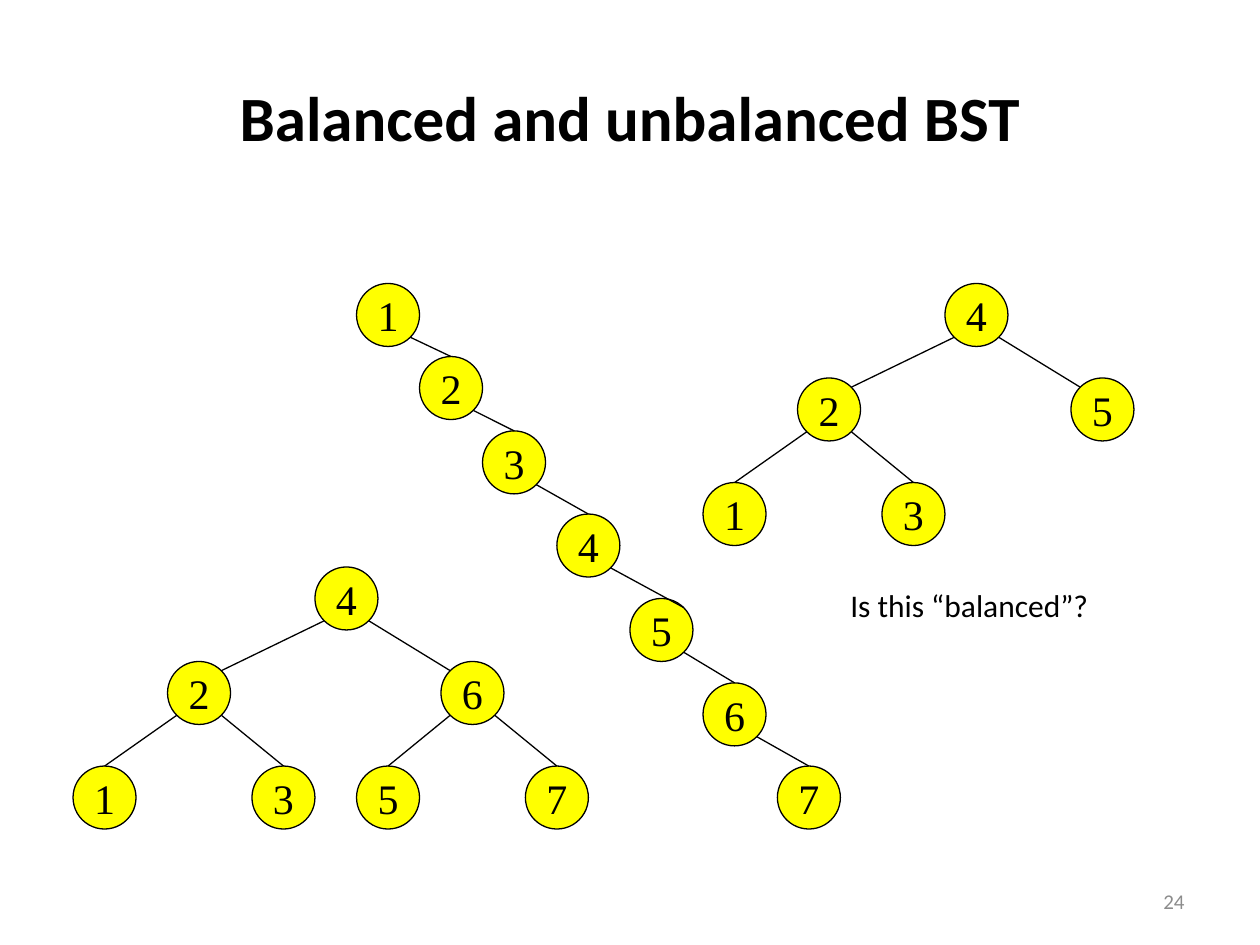
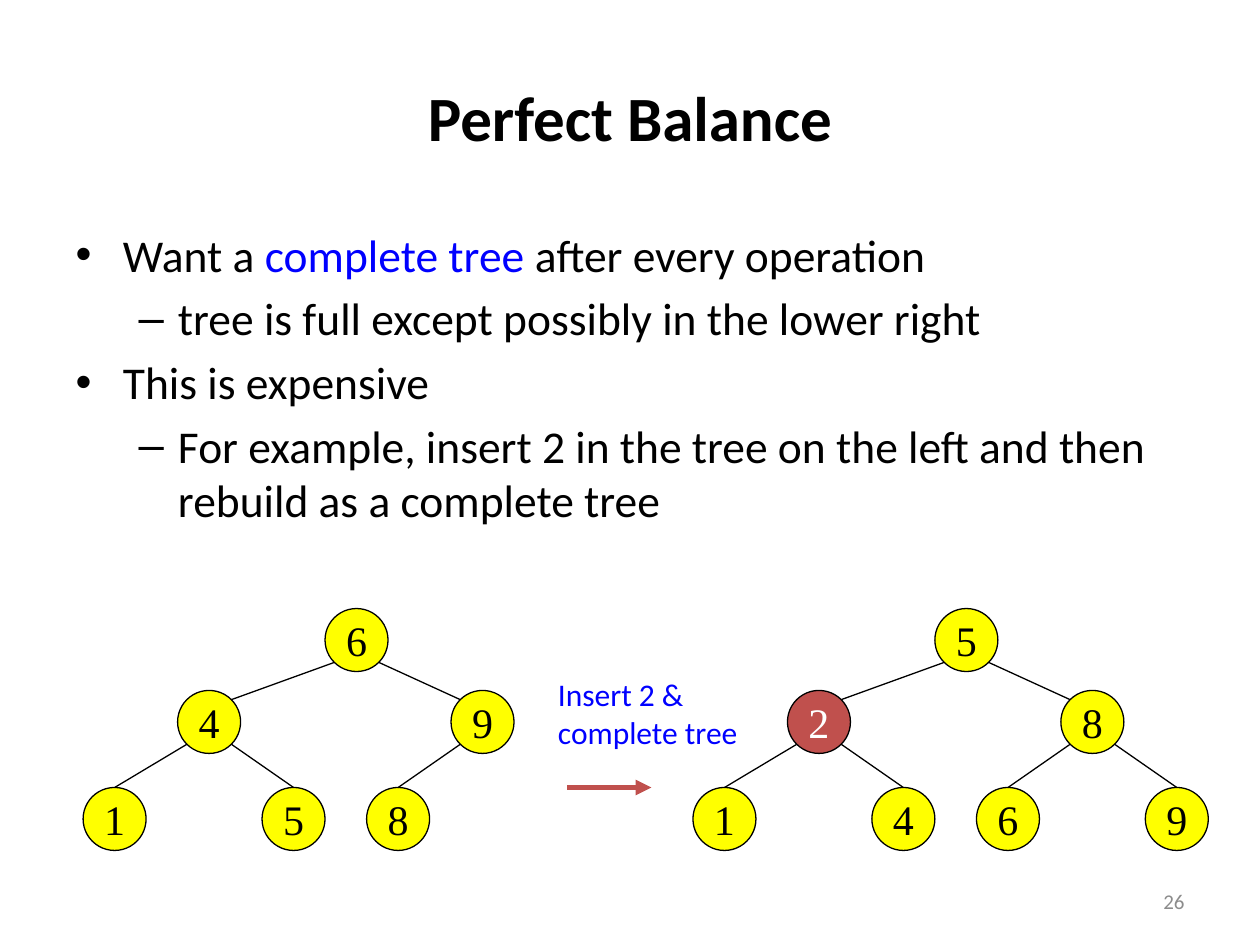
from dataclasses import dataclass

from pptx import Presentation
from pptx.dml.color import RGBColor
from pptx.enum.shapes import MSO_CONNECTOR, MSO_SHAPE
from pptx.enum.text import MSO_ANCHOR, MSO_AUTO_SIZE, PP_ALIGN
from pptx.oxml.ns import qn
from pptx.util import Inches, Pt
from lxml.etree import SubElement

BLACK = RGBColor(0x00, 0x00, 0x00)
WHITE = RGBColor(0xFF, 0xFF, 0xFF)
YELLOW = RGBColor(0xFF, 0xFF, 0x00)
RED = RGBColor(0xC0, 0x50, 0x4D)
BLUE = RGBColor(0x00, 0x00, 0xFF)
GRAY = RGBColor(0x8C, 0x8C, 0x8C)

SANS, SERIF = "Calibri", "Times New Roman"
TITLE_CONTENT, TITLE_ONLY = 1, 5

NODE = 0.5                     # node diameter
CORNER = NODE / 2 * 0.71       # offset of a 45-degree point from the centre
# Horizontal offsets from the root, in level order
OFFSETS = (0, -1.17, 1, -1.92, -0.5, 0.33, 1.67)


@dataclass
class Node:
    key: int
    x: float
    y: float
    marked: bool = False

    def point(self, dx: int, dy: int) -> tuple[float, float]:
        """Point on the rim: dx and dy are -1, 0 or 1."""
        reach = CORNER if dx and dy else NODE / 2
        return self.x + NODE / 2 + dx * reach, self.y + NODE / 2 + dy * reach


@dataclass
class Tree:
    keys: tuple[int, ...]      # level order
    x: float
    y: float
    drops: tuple[float, ...]   # vertical offset of each level
    marked: int | None = None


# Shared helpers
def add_run(p, text: str, *, size: float, font: str = SANS,
            color: RGBColor = BLACK, bold: bool = False) -> None:
    r = p.add_run()
    r.text = text
    r.font.size, r.font.name, r.font.bold = Pt(size), font, bold
    r.font.color.rgb = color


def place(sp, x: float, y: float, w: float, h: float) -> None:
    sp.left, sp.top, sp.width, sp.height = map(Inches, (x, y, w, h))


def add_label(slide, x: float, y: float, w: float, h: float, lines: list[str],
              *, size: float = 18, color: RGBColor = BLACK) -> None:
    sp = slide.shapes.add_textbox(*map(Inches, (x, y, w, h)))
    tf = sp.text_frame
    tf.word_wrap = False
    tf.auto_size = MSO_AUTO_SIZE.SHAPE_TO_FIT_TEXT
    for i, line in enumerate(lines):
        p = tf.add_paragraph() if i else tf.paragraphs[0]
        add_run(p, line, size=size, color=color)


def add_line(slide, start: tuple[float, float], end: tuple[float, float], *,
             color: RGBColor = BLACK, width: float = 0.75, arrow: bool = False) -> None:
    cx = slide.shapes.add_connector(MSO_CONNECTOR.STRAIGHT, *map(Inches, start + end))
    cx.line.color.rgb, cx.line.width = color, Pt(width)
    if arrow:
        SubElement(cx.line._get_or_add_ln(), qn("a:tailEnd"), type="triangle")
    SubElement(cx._element.spPr, qn("a:effectLst"))


def new_slide(prs, layout: int, title: str, number: int):
    slide = prs.slides.add_slide(prs.slide_layouts[layout])
    sp = slide.shapes.title
    place(sp, 0.5, 0.3, 9, 1.25)
    p = sp.text_frame.paragraphs[0]
    p.alignment = PP_ALIGN.CENTER
    add_run(p, title, size=36, bold=True)
    # Slide number
    tf = slide.shapes.add_textbox(*map(Inches, (7.17, 6.95, 2.33, 0.4))).text_frame
    tf.word_wrap = True
    tf.vertical_anchor = MSO_ANCHOR.MIDDLE
    p = tf.paragraphs[0]
    p.alignment = PP_ALIGN.RIGHT
    add_run(p, str(number), size=12, color=GRAY)
    return slide


# Trees
def draw_node(slide, node: Node) -> None:
    sp = slide.shapes.add_shape(
        MSO_SHAPE.OVAL, *map(Inches, (node.x, node.y, NODE, NODE)))
    sp.shadow.inherit = False
    sp.fill.solid()
    sp.fill.fore_color.rgb = RED if node.marked else YELLOW
    sp.line.color.rgb, sp.line.width = BLACK, Pt(0.75)
    tf = sp.text_frame
    tf.word_wrap = False
    tf.vertical_anchor = MSO_ANCHOR.MIDDLE
    p = tf.paragraphs[0]
    p.alignment = PP_ALIGN.CENTER
    add_run(p, str(node.key), size=24, font=SERIF,
            color=WHITE if node.marked else BLACK)


def draw_tree(slide, tree: Tree) -> None:
    nodes = [Node(key, tree.x + OFFSETS[i],
                  tree.y + tree.drops[(i + 1).bit_length() - 1], key == tree.marked)
             for i, key in enumerate(tree.keys)]
    for node in nodes:
        draw_node(slide, node)
    for i, child in enumerate(nodes[1:], start=1):
        side = -1 if i % 2 else 1
        # Inner nodes are met at the near corner, leaves at the top
        end = child.point(-side if i < 3 else 0, -1)
        add_line(slide, nodes[(i - 1) // 2].point(side, 1), end)


def draw_chain(slide, positions: list[tuple[float, float]]) -> None:
    nodes = [Node(key, x, y) for key, (x, y) in enumerate(positions, start=1)]
    for node in nodes:
        draw_node(slide, node)
    for parent, child in zip(nodes, nodes[1:]):
        # The link to 5 ends at its far corner
        add_line(slide, parent.point(1, 1), child.point(int(child.key == 5), -1))


prs = Presentation()
prs.slide_width, prs.slide_height = Inches(10), Inches(7.5)

# Slide 1: three search trees
slide = new_slide(prs, TITLE_ONLY, "Balanced and unbalanced BST", 24)
DROPS = (0, 0.75, 1.58)
draw_tree(slide, Tree((4, 2, 5, 1, 3), 7.5, 2.25, DROPS))
draw_chain(slide, [(2.83, 2.25), (3.33, 2.83), (3.83, 3.42), (4.42, 4.08),
                   (5, 4.75), (5.58, 5.42), (6.17, 6.08)])
draw_tree(slide, Tree((4, 2, 6, 1, 3, 5, 7), 2.5, 4.5, DROPS))
add_label(slide, 6.65, 4.6, 2.11, 0.4, ["Is this “balanced”?"])

# Slide 2: bullets, then the tree before and after the insertion
slide = new_slide(prs, TITLE_CONTENT, "Perfect Balance", 26)
body = slide.placeholders[1]
place(body, 0.5, 1.75, 9, 4.95)
tf = body.text_frame
tf.auto_size = MSO_AUTO_SIZE.NONE
BULLETS = [
    (0, [("Want a ", BLACK), ("complete tree", BLUE), (" after every operation", BLACK)]),
    (1, [("tree is full except possibly in the lower right", BLACK)]),
    (0, [("This is expensive", BLACK)]),
    (1, [("For example, insert 2 in the tree on the left and then "
          "rebuild as a complete tree", BLACK)]),
]
for i, (level, runs) in enumerate(BULLETS):
    p = tf.add_paragraph() if i else tf.paragraphs[0]
    p.level = level
    for text, color in runs:
        add_run(p, text, size=26, color=color)

add_label(slide, 4.33, 5.31, 1.88, 0.77, ["Insert 2 &", "complete tree"], color=BLUE)
DROPS_LOW = (0, 0.65, 1.42)
draw_tree(slide, Tree((6, 4, 9, 1, 5, 8), 2.58, 4.83, DROPS_LOW))
draw_tree(slide, Tree((5, 2, 8, 1, 4, 6, 9), 7.42, 4.83, DROPS_LOW, marked=2))
add_line(slide, (4.5, 6.25), (5.17, 6.25), color=RED, width=3, arrow=True)

prs.save("out.pptx")
